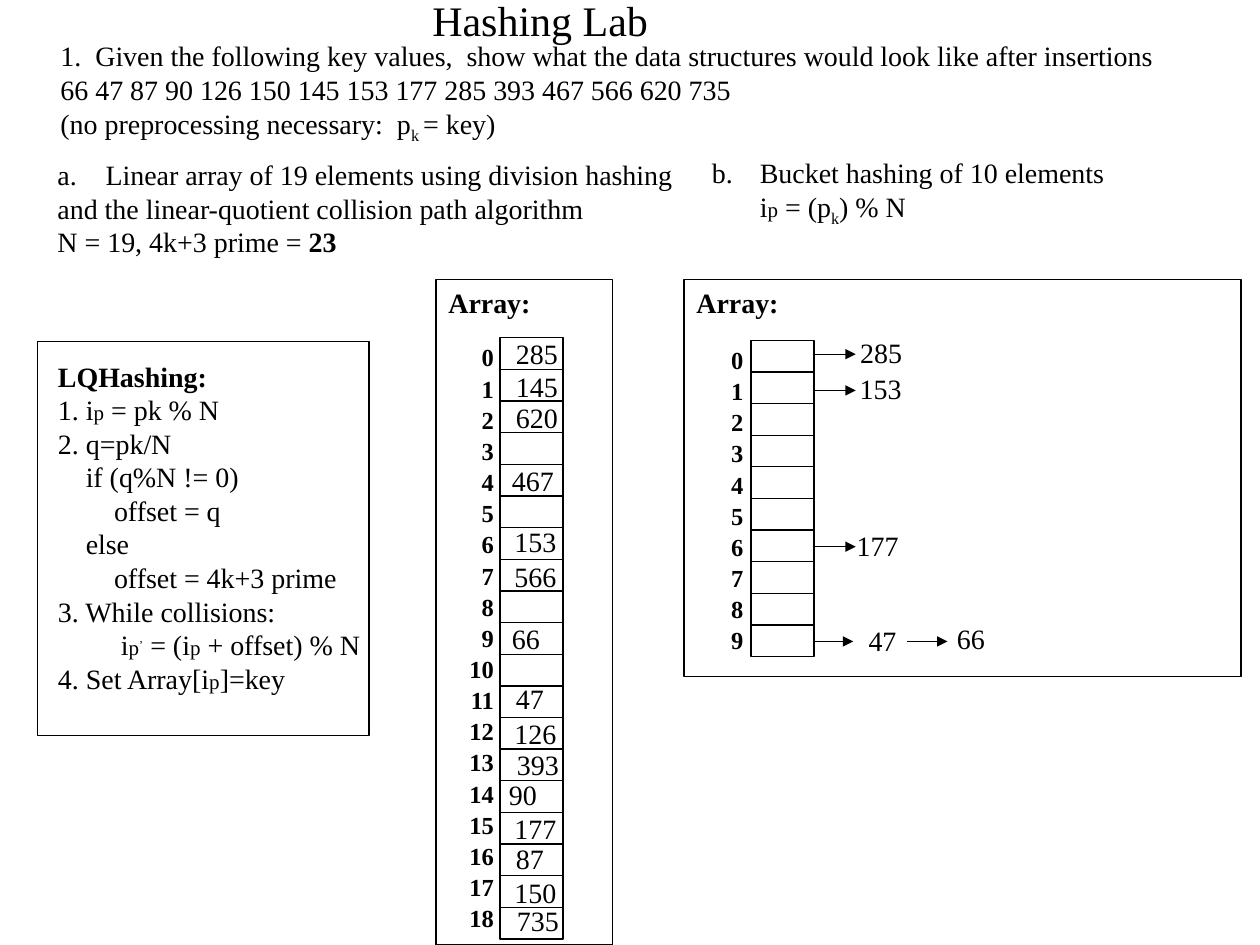
from lxml import etree
from pptx import Presentation
from pptx import util as u
from pptx.dml.color import RGBColor
from pptx.enum import shapes, text
from pptx.oxml.ns import qn

BLACK = RGBColor(0, 0, 0)
WHITE = RGBColor(255, 255, 255)
LINE_WIDTH = u.Pt(0.75)
BODY = {"name": "Times New Roman", "size": u.Pt(16), "bold": False}
BOLD = {"bold": True}
SMALL = {"size": u.Pt(12)}
SUBSCRIPT = {"baseline": -25000}
RAISED = {"size": u.Pt(12), "baseline": 30000}
TITLE = {"size": u.Pt(24)}
INDEX = {"size": u.Pt(14), "bold": True}

QUESTION = [
    ["1.  Given the following key values,  show what the data structures "
     "would look like after insertions"],
    ["66 47 87 90 126 150 145 153 177 285 393 467 566 620 735"],
    ["(no preprocessing necessary:  p", ("k ", SUBSCRIPT), "= key)"],
]
LINEAR_TASK = [
    ["Linear array of 19 elements using division hashing"],
    ["and the linear-quotient collision path algorithm"],
    ["N = 19, 4k+3 prime = ", ("23", BOLD)],
]
BUCKET_TASK = [["Bucket hashing of 10 elements i", ("p", SMALL), " = (p",
                ("k", SUBSCRIPT), ") % N"]]
# Each algorithm line: left indent in cm, then its text parts
ALGORITHM = [
    (0, [("LQHashing:", BOLD)]),
    (0, ["1. i", ("p", SMALL), " = pk % N"]),
    (0, ["2. q=pk/N"]),
    (0.56, ["if (q%N != 0)"]),
    (1.13, ["offset = q"]),
    (0.56, ["else"]),
    (1.13, ["offset = 4k+3 prime"]),
    (0, ["3. While collisions:"]),
    (1.27, ["i", ("p", SMALL), ("’", RAISED), " = (i", ("p", SMALL),
            " + offset) % N"]),
    (0, ["4. Set Array[i", ("p", SMALL), "]=key"]),
]
# Key, left and top in cm
LINEAR_KEYS = [
    (285, 10.15, 6.65), (145, 10.15, 7.32), (620, 10.15, 7.95),
    (467, 10.07, 9.22), (153, 10.12, 10.44), (566, 10.12, 11.15),
    (66, 10.07, 12.4), (47, 10.15, 13.61), (126, 10.12, 14.33),
    (393, 10.17, 14.94), (90, 10.01, 15.54), (177, 10.12, 16.23),
    (87, 10.15, 16.84), (150, 10.12, 17.53), (735, 10.17, 18.08),
]
BUCKET_KEYS = [
    (285, 17.09, 6.63), (153, 17.08, 7.37), (177, 17.02, 10.54),
    (47, 17.26, 12.45), (66, 19.04, 12.4),
]
# Start, end and height of each arrow in cm
BUCKET_ARROWS = [
    (16.43, 17.25, 7.14), (16.43, 17.25, 7.87), (16.43, 17.25, 11.02),
    (16.41, 17.2, 12.93), (18.29, 19.1, 12.93),
]


def cm(*values):
    """Turn centimetre numbers into lengths."""
    return [u.Cm(value) for value in values]


def apply_format(target, values):
    """Set each attribute named in a dict of format values."""
    for name, value in values.items():
        setattr(target, name, value)


def write_lines(frame, lines, style=None):
    """Fill a text frame with paragraphs made of plain or styled parts."""
    for number, parts in enumerate(lines):
        paragraph = frame.add_paragraph() if number else frame.paragraphs[0]
        paragraph.alignment = text.PP_ALIGN.LEFT
        for part in parts:
            words, extra = part if isinstance(part, tuple) else (part, {})
            run = paragraph.add_run()
            run.text = words
            values = {**BODY, **(style or {}), **extra}
            baseline = values.pop("baseline", None)
            apply_format(run.font, values)
            run.font.color.rgb = BLACK
            if baseline:
                run._r.get_or_add_rPr().set("baseline", str(baseline))


def indent(paragraph, left, first=0):
    """Set the left margin and first-line indent of a paragraph."""
    properties = paragraph._p.get_or_add_pPr()
    properties.set("marL", str(u.Cm(left)))
    properties.set("indent", str(u.Cm(first)))


def add_letter(paragraph, start=1):
    """Give a paragraph a hanging letter from automatic numbering."""
    indent(paragraph, 0.97, -0.97)
    bullet = etree.SubElement(paragraph._p.get_or_add_pPr(), qn("a:buAutoNum"))
    bullet.set("type", "alphaLcPeriod")
    if start > 1:
        bullet.set("startAt", str(start))


def add_text(parent, box, lines, style=None, wrap=True):
    """Add a text box and return its frame."""
    frame = parent.add_textbox(*cm(*box)).text_frame
    frame.word_wrap = wrap
    write_lines(frame, lines, style)
    return frame


def add_box(parent, box, filled=True):
    """Add an outlined rectangle with text starting at the top left."""
    shape = parent.add_shape(shapes.MSO_SHAPE.RECTANGLE, *cm(*box))
    shape.shadow.inherit = False
    if filled:
        shape.fill.solid()
        shape.fill.fore_color.rgb = WHITE
    else:
        shape.fill.background()
    shape.line.color.rgb = BLACK
    shape.line.width = LINE_WIDTH
    shape.text_frame.vertical_anchor = text.MSO_ANCHOR.TOP
    return shape


def add_array(slide, panel, cells, labels, count):
    """Add a panel holding a column of numbered cells."""
    frame = add_box(slide.shapes, panel).text_frame
    write_lines(frame, [["Array:"]], BOLD)
    group = slide.shapes.add_group_shape().shapes
    left, top, width, height = cells
    step = height / count
    for row in range(count):
        add_box(group, (left, top + row * step, width, step))
    frame = add_text(group, labels, [[str(row)] for row in range(count)],
                     INDEX, wrap=False)
    for paragraph in frame.paragraphs:
        paragraph.alignment = text.PP_ALIGN.RIGHT
        paragraph.space_after = u.Pt(1)


def add_keys(slide, keys):
    """Place each key as a small text box fitted to its digits."""
    for key, left, top in keys:
        digits = str(key)
        add_text(slide.shapes, (left, top, 0.51 + 0.28 * len(digits), 0.94),
                 [[digits]], wrap=False)


def add_arrow(slide, start, end, height):
    """Add a horizontal arrow."""
    arrow = slide.shapes.add_connector(
        shapes.MSO_CONNECTOR.STRAIGHT, *cm(start, height, end, height))
    arrow.line.color.rgb = BLACK
    arrow.line.width = LINE_WIDTH
    properties = arrow._element.spPr
    etree.SubElement(properties.find(qn("a:ln")), qn("a:tailEnd"),
                     type="triangle")
    etree.SubElement(properties, qn("a:effectLst"))


def add_title(slide, words):
    """Place and format the title placeholder."""
    title = slide.shapes.title
    box = cm(8.46, -0.23, 4.9, 1.3)
    apply_format(title, dict(zip(("left", "top", "width", "height"), box)))
    apply_format(title.text_frame, {
        "word_wrap": False, "auto_size": text.MSO_AUTO_SIZE.NONE,
        "vertical_anchor": text.MSO_ANCHOR.TOP})
    write_lines(title.text_frame, [[words]], TITLE)


def add_algorithm(slide):
    """Add the framed hashing algorithm."""
    frame = add_box(slide.shapes, (0.76, 6.88, 6.68, 7.95), False).text_frame
    apply_format(frame, {"word_wrap": False, "margin_left": u.Cm(0.41),
                         "margin_right": u.Cm(0), "margin_top": u.Cm(0.36)})
    write_lines(frame, [parts for _, parts in ALGORITHM])
    for paragraph, (left, _) in zip(frame.paragraphs, ALGORITHM):
        indent(paragraph, left)


def main():
    """Build and save the slide."""
    presentation = Presentation()
    presentation.slide_width, presentation.slide_height = cm(25.4, 19.05)
    slide = presentation.slides.add_slide(presentation.slide_layouts[5])
    add_title(slide, "Hashing Lab")
    add_text(slide.shapes, (0.97, 0.66, 23.01, 2.31), QUESTION)
    frame = add_text(slide.shapes, (0.91, 3.05, 13.08, 2.31), LINEAR_TASK)
    add_letter(frame.paragraphs[0])
    add_algorithm(slide)
    add_array(slide, (8.79, 5.64, 3.56, 13.41), (10.08, 6.81, 1.27, 12.12),
              (9.19, 6.78, 1.02, 12.27), 19)
    frame = add_text(slide.shapes, (14.1, 3.02, 8.66, 1.63), BUCKET_TASK)
    add_letter(frame.paragraphs[0], 2)
    add_array(slide, (13.79, 5.64, 11.23, 8), (15.14, 6.86, 1.27, 6.38),
              (14.48, 6.83, 0.76, 6.55), 10)
    add_keys(slide, LINEAR_KEYS + BUCKET_KEYS)
    for arrow in BUCKET_ARROWS:
        add_arrow(slide, *arrow)
    presentation.save("out.pptx")


main()
